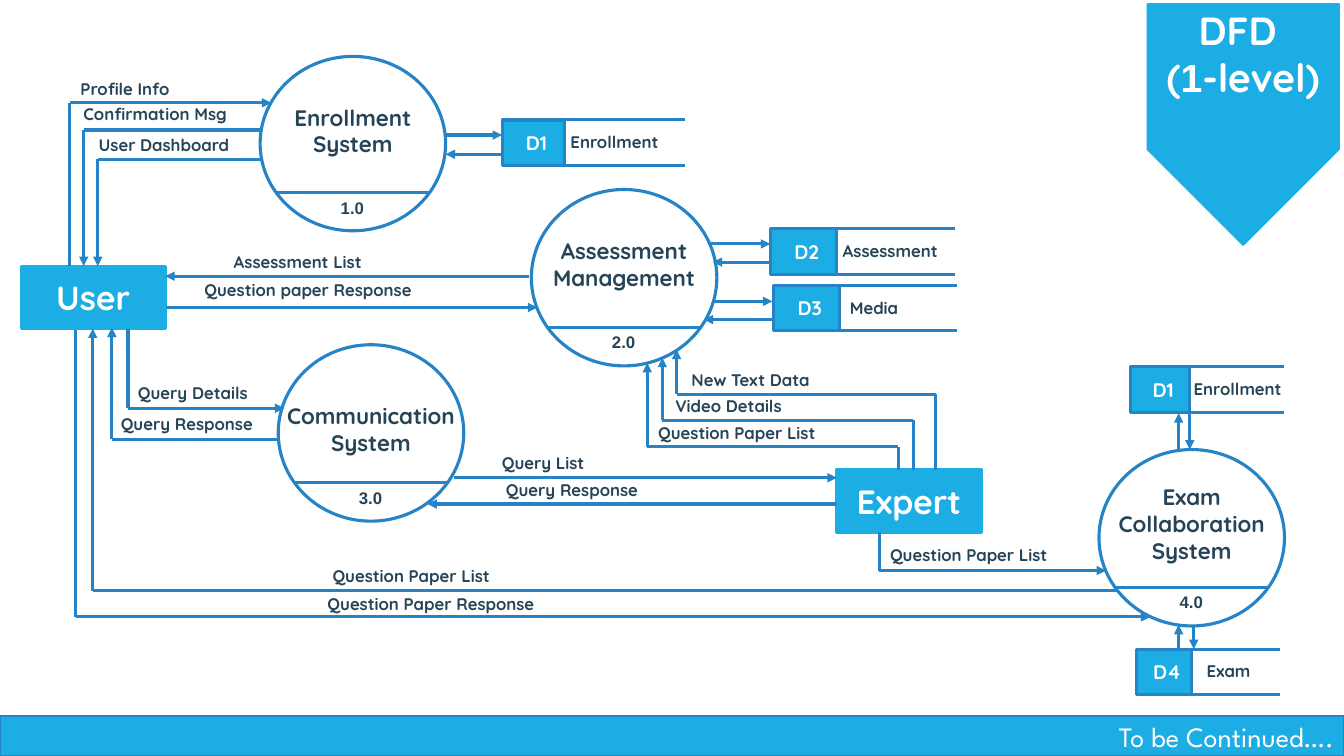
import dataclasses

import pptx
import pptx.dml.color
import pptx.enum.shapes
import pptx.enum.text
import pptx.oxml
import pptx.oxml.ns
import pptx.util

Inches = pptx.util.Inches
Shape = pptx.enum.shapes.MSO_SHAPE
Align = pptx.enum.text.PP_ALIGN
Anchor = pptx.enum.text.MSO_ANCHOR


@dataclasses.dataclass(frozen=True)
class Theme:
    """Colours, fonts, type sizes and line widths of the slide."""
    fill: str = "1CADE4"
    stroke: str = "2683C6"
    ink: str = "264457"
    light: str = "FFFFFF"
    font: str = "Quicksand"
    digits: str = "Arial"
    footer_font: str = "League Spartan"
    title: int = 28
    entity: int = 24
    footer: int = 20
    process: int = 16
    store: int = 14
    label: int = 12
    line: float = 2.25
    thin: float = 1.25


THEME = Theme()


def rgb(code):
    """Return a colour for a hex code."""
    return pptx.dml.color.RGBColor.from_string(code)


def style_run(run, size, color, font, bold):
    """Set the character format of one run."""
    run.font.size = pptx.util.Pt(size)
    run.font.color.rgb = rgb(color)
    run.font.name = font
    run.font.bold = bold


def write(frame, text, size, color=THEME.ink, font=THEME.font, bold=True, align=Align.CENTER):
    """Fill a text frame and format its paragraphs."""
    frame.word_wrap = True
    frame.text = text
    for paragraph in frame.paragraphs:
        paragraph.alignment = align
        for run in paragraph.runs:
            style_run(run, size, color, font, bold)


def add_label(slide, box, text, size=THEME.label, **style):
    """Add a text box and return its frame."""
    frame = slide.shapes.add_textbox(*map(Inches, box)).text_frame
    write(frame, text, size, **style)
    return frame


def add_block(slide, kind, box, stroke, fill=None, width=THEME.line):
    """Add an outlined preset shape, filled if a colour is given."""
    block = slide.shapes.add_shape(kind, *map(Inches, box))
    block.shadow.inherit = False
    block.line.color.rgb = rgb(stroke)
    block.line.width = pptx.util.Pt(width)
    if fill:
        block.fill.solid()
        block.fill.fore_color.rgb = rgb(fill)
    else:
        block.fill.background()
    block.text_frame.vertical_anchor = Anchor.MIDDLE
    return block


def add_line(slide, start, end, arrow=False):
    """Draw a straight line, with an arrowhead at its end on request."""
    line = slide.shapes.add_connector(
        pptx.enum.shapes.MSO_CONNECTOR.STRAIGHT, *map(Inches, (*start, *end)))
    line.line.color.rgb = rgb(THEME.stroke)
    line.line.width = pptx.util.Pt(THEME.line)
    if arrow:
        head = pptx.oxml.parse_xml(
            f'<a:tailEnd {pptx.oxml.ns.nsdecls("a")} type="triangle"/>')
        line.line._get_or_add_ln().append(head)
    effects = pptx.oxml.parse_xml(f'<a:effectLst {pptx.oxml.ns.nsdecls("a")}/>')
    line._element.spPr.append(effects)


def add_flow(slide, points, label=None, label_at=None):
    """Draw a data flow through the points, with its label."""
    for index, (start, end) in enumerate(zip(points, points[1:]), 2):
        add_line(slide, start, end, arrow=index == len(points))
    if label:
        add_label(slide, (*label_at, 2.4, 0.3), label, align=Align.LEFT)


def add_process(slide, box, name, number, name_middle=0.74, name_height=0.64):
    """Draw a process circle with its name above a chord and its number below."""
    left, top, width, height = box
    chord = top + 0.78 * height
    inset = 0.17
    add_block(slide, Shape.OVAL, box, THEME.stroke)
    name_width = 2
    name_box = (left + (width - name_width) / 2, top + name_middle - name_height / 2,
                name_width, name_height)
    add_label(slide, name_box, name, THEME.process)
    add_line(slide, (left + inset, chord), (left + width - inset, chord))
    add_label(slide, (left + 0.37, chord, 1.09, 0.3), number, font=THEME.digits)


def add_store(slide, box, code, name, tab, name_shift):
    """Draw an open data store with a code tab and a name."""
    left, top, width, height = box
    for y in (top, top + height):
        add_line(slide, (left, y), (left + width, y))
    block = add_block(slide, Shape.RECTANGLE, (left, top, tab, height), THEME.stroke, THEME.fill)
    write(block.text_frame, code, THEME.store, THEME.light)
    block.text_frame.margin_left = Inches(0.16)
    add_label(slide, (left + tab + name_shift, top + 0.07, 1.22, 0.3), name, align=Align.LEFT)


def add_entity(slide, box, name):
    """Draw an external entity."""
    block = add_block(slide, Shape.RECTANGLE, box, THEME.fill, THEME.fill)
    write(block.text_frame, name, THEME.entity, THEME.light)


def add_footer(slide, box):
    """Draw the bar along the bottom."""
    bar = add_block(slide, Shape.RECTANGLE, box, THEME.stroke, THEME.fill, THEME.thin)
    write(bar.text_frame, "To be Continued….", THEME.footer, THEME.light,
          THEME.footer_font, False, Align.RIGHT)


def add_title(slide, box):
    """Draw the downward title banner."""
    left, top, width, height = box
    turn = (height - width) / 2
    banner = add_block(slide, Shape.PENTAGON, (left - turn, top + turn, height, width),
                       THEME.fill, THEME.fill, THEME.thin)
    banner.rotation = 90
    frame = add_label(slide, (left - 0.16, top - 0.03, width + 0.32, 1.04), "DFD \n(",
                      THEME.title, color=THEME.light)
    for piece, font in (("1", THEME.digits), ("-level)", THEME.font)):
        run = frame.paragraphs[1].add_run()
        run.text = piece
        style_run(run, THEME.title, THEME.light, font, True)


PROCESSES = [
    ((2.58, 0.56, 1.84, 1.73), "Enrollment System", "1.0"),
    ((5.27, 1.88, 1.84, 1.75), "Assessment Management", "2.0"),
    ((2.76, 3.42, 1.84, 1.75), "Communication System", "3.0", 0.84),
    ((10.9, 4.46, 1.84, 1.75), "Exam Collaboration System", "4.0", 0.74, 0.91),
]
STORES = [
    ((4.98, 1.19, 1.81, 0.45), "D1", "Enrollment", 0.62, -0.04),
    ((7.64, 2.27, 1.83, 0.45), "D2", "Assessment", 0.66, -0.04),
    ((7.67, 2.83, 1.82, 0.45), "D3", "Media", 0.66, 0),
    ((11.21, 3.64, 1.53, 0.45), "D1", "Enrollment", 0.59, -0.06),
    ((11.27, 6.44, 1.43, 0.45), "D4", "Exam", 0.55, 0.05),
]
ENTITIES = [((0.21, 2.64, 1.43, 0.62), "User"), ((8.3, 4.66, 1.43, 0.62), "Expert")]
FLOWS = [
    ([(0.69, 2.64), (0.69, 1.02), (2.69, 1.02)], "Profile Info", (0.7, 0.73)),
    ([(2.58, 1.29), (0.83, 1.29), (0.83, 2.64)], "Confirmation Msg", (0.73, 0.98)),
    ([(2.61, 1.58), (0.97, 1.58), (0.97, 2.64)], "User Dashboard", (0.88, 1.29)),
    ([(5.25, 2.74), (1.64, 2.74)], "Assessment List", (2.22, 2.45)),
    ([(1.65, 3.05), (5.33, 3.05)], "Question paper Response", (1.93, 2.73)),
    ([(1.27, 3.26), (1.27, 4.05), (2.82, 4.05)], "Query Details", (1.27, 3.75)),
    ([(2.78, 4.36), (1.11, 4.36), (1.11, 3.25)], "Query Response", (1.1, 4.06)),
    ([(9.28, 4.66), (9.28, 3.91), (6.71, 3.91), (6.71, 3.47)], "New Text Data", (6.76, 3.62)),
    ([(9.06, 4.66), (9.06, 4.17), (6.57, 4.17), (6.57, 3.55)], "Video Details", (6.6, 3.88)),
    ([(8.91, 4.66), (8.91, 4.43), (6.42, 4.43), (6.42, 3.6)], "Question Paper List", (6.43, 4.14)),
    ([(4.5, 4.74), (8.3, 4.74)], "Query List", (4.88, 4.44)),
    ([(8.3, 5), (4.24, 5)], "Query Response", (4.92, 4.71)),
    ([(8.72, 5.28), (8.72, 5.66), (10.97, 5.66)], "Question Paper List", (8.73, 5.36)),
    ([(11.08, 5.86), (0.92, 5.86), (0.92, 3.26)], "Question Paper List", (3.2, 5.56)),
    ([(0.75, 3.27), (0.75, 6.12), (11.41, 6.12)], "Question Paper Response", (3.15, 5.84)),
    ([(4.41, 1.34), (4.98, 1.34)],), ([(4.98, 1.53), (4.42, 1.53)],),
    ([(7.04, 2.42), (7.64, 2.42)],), ([(7.63, 2.6), (7.07, 2.6)],),
    ([(7.06, 2.99), (7.66, 2.99)],), ([(7.66, 3.17), (6.98, 3.17)],),
    ([(11.69, 4.46), (11.69, 4.1)],), ([(11.8, 4.11), (11.8, 4.46)],),
    ([(11.69, 6.44), (11.69, 6.2)],), ([(11.84, 6.2), (11.84, 6.44)],),
]

deck = pptx.Presentation()
deck.slide_width, deck.slide_height = Inches(13.33), Inches(7.5)
diagram = deck.slides.add_slide(deck.slide_layouts[6])
for draw, parts in ((add_process, PROCESSES), (add_entity, ENTITIES),
                    (add_store, STORES), (add_flow, FLOWS)):
    for part in parts:
        draw(diagram, *part)
add_footer(diagram, (0, 7.1, 13.33, 0.4))
add_title(diagram, (11.38, 0.04, 1.9, 2.39))
deck.save("out.pptx")
